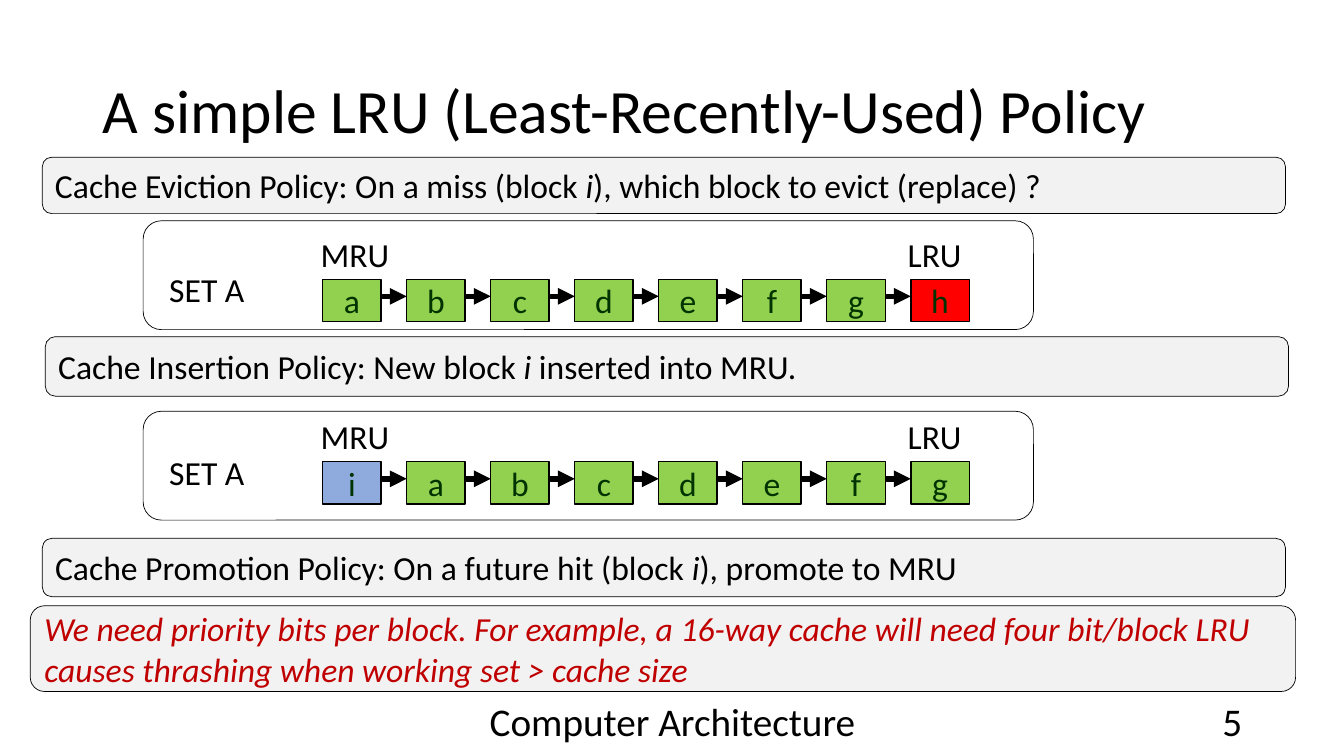
from lxml.etree import SubElement
from pptx import Presentation
from pptx.dml.color import RGBColor
from pptx.enum.shapes import MSO_CONNECTOR as Connector, MSO_SHAPE as Shape
from pptx.enum.text import MSO_ANCHOR as Anchor, MSO_AUTO_SIZE as AutoSize, PP_ALIGN as Align
from pptx.oxml.ns import qn
from pptx.util import Inches, Pt


def paint(shape, fill, line_width):
    """Flat fill with a thin black outline."""
    shape.shadow.inherit = False
    shape.fill.solid()
    shape.fill.fore_color.rgb = RGBColor.from_string(fill)
    shape.line.color.rgb = RGBColor.from_string("000000")
    shape.line.width = Pt(line_width)


def write(shape, text, size=24, color="000000", align=Align.LEFT,
          anchor=Anchor.MIDDLE, wrap=True):
    """Fill a shape with one paragraph; *stars* enclose italics."""
    frame_format = {"word_wrap": wrap, "vertical_anchor": anchor}
    for name, value in frame_format.items():
        setattr(shape.text_frame, name, value)
    paragraph = shape.text_frame.paragraphs[0]
    paragraph.alignment = align
    for index, part in enumerate(text.split("*")):
        if part:
            run = paragraph.add_run()
            run.text = part
            run_format = {"name": "Calibri", "size": Pt(size), "italic": index % 2 == 1}
            for name, value in run_format.items():
                setattr(run.font, name, value)
            run.font.color.rgb = RGBColor.from_string(color)


deck = Presentation()
deck.slide_width, deck.slide_height = Inches(13.33), Inches(7.5)
slide = deck.slides.add_slide(deck.slide_layouts[5])

# Title
title = slide.shapes.title
title_box = {"left": 0.92, "top": 0.4, "width": 11.5, "height": 1.45}
for side, length in title_box.items():
    setattr(title, side, Inches(length))
write(title, "A simple LRU (Least-Recently-Used) Policy", 44)
title.text_frame.paragraphs[0].line_spacing = 0.9

# Footer and page number
for left, width, text, align in [
    (4.42, 4.5, "Computer Architecture", Align.CENTER),
    (9.42, 3, "5", Align.RIGHT),
]:
    footer = slide.shapes.add_textbox(Inches(left), Inches(6.95), Inches(width), Inches(0.4))
    write(footer, text, 28, align=align)

# Policy statements
policies = [
    (0.42, 1.56, 12.33, 0.56, "000000",
     "Cache Eviction Policy: On a miss (block *i*), which block to evict (replace) ?"),
    (0.45, 3.34, 12.33, 0.59, "000000",
     "Cache Insertion Policy: New block *i* inserted into MRU."),
    (0.42, 5.34, 12.33, 0.58, "000000",
     "Cache Promotion Policy: On a future hit (block *i*), promote to MRU"),
    (0.3, 6.01, 12.55, 0.85, "C00000",
     "*We need priority bits per block. For example, a 16-way cache will need four "
     "bit/block LRU causes thrashing when working set > cache size*"),
]
for left, top, width, height, color, text in policies:
    policy = slide.shapes.add_shape(
        Shape.ROUNDED_RECTANGLE, Inches(left), Inches(top), Inches(width), Inches(height))
    paint(policy, "F2F2F2", 0.5)
    write(policy, text, color=color)

# Cache sets before and after the insertion
first_left, block_width, block_height, pitch = 3.2, 0.58, 0.42, 5 / 6
cache_sets = [
    (2.19, 2.77, "abcdefgh", {"h": "FF0000"}),
    (4.08, 4.58, "iabcdefg", {"i": "8FAADC"}),
]
for panel_top, block_top, blocks, highlights in cache_sets:
    panel = slide.shapes.add_shape(
        Shape.ROUNDED_RECTANGLE, Inches(1.42), Inches(panel_top), Inches(8.83), Inches(1.08))
    paint(panel, "FFFFFF", 0.5)
    chain = slide.shapes.add_group_shape().shapes

    # Blocks in order of recency
    for index, letter in enumerate(blocks):
        block = chain.add_shape(
            Shape.RECTANGLE, Inches(first_left + index * pitch), Inches(block_top),
            Inches(block_width), Inches(block_height))
        paint(block, highlights.get(letter, "92D050"), 1)
        write(block, letter, color="003300", align=Align.CENTER, wrap=False)

    # Arrows run slightly above the middle of the blocks
    arrow_y = Inches(block_top + 0.17)
    for index in range(1, len(blocks)):
        block_left = first_left + index * pitch
        arrow = chain.add_connector(
            Connector.STRAIGHT, Inches(block_left - pitch + block_width), arrow_y,
            Inches(block_left), arrow_y)
        arrow.line.color.rgb = RGBColor.from_string("000000")
        arrow.line.width = Pt(4)
        SubElement(arrow.line._get_or_add_ln(), qn("a:tailEnd"), type="triangle")
        SubElement(arrow._element.spPr, qn("a:effectLst"))

    # Position labels and set name
    for shapes, left, rise, width, text, align in [
        (chain, 3.07, 0.5, 0.9, "MRU", Align.CENTER),
        (chain, 8.9, 0.5, 0.74, "LRU", Align.CENTER),
        (slide.shapes, 1.58, 0.15, 0.96, "SET A", Align.LEFT),
    ]:
        label = shapes.add_textbox(
            Inches(left), Inches(block_top - rise), Inches(width), Inches(0.5))
        write(label, text, align=align, anchor=Anchor.TOP, wrap=False)
        label.text_frame.auto_size = AutoSize.SHAPE_TO_FIT_TEXT

deck.save("out.pptx")
